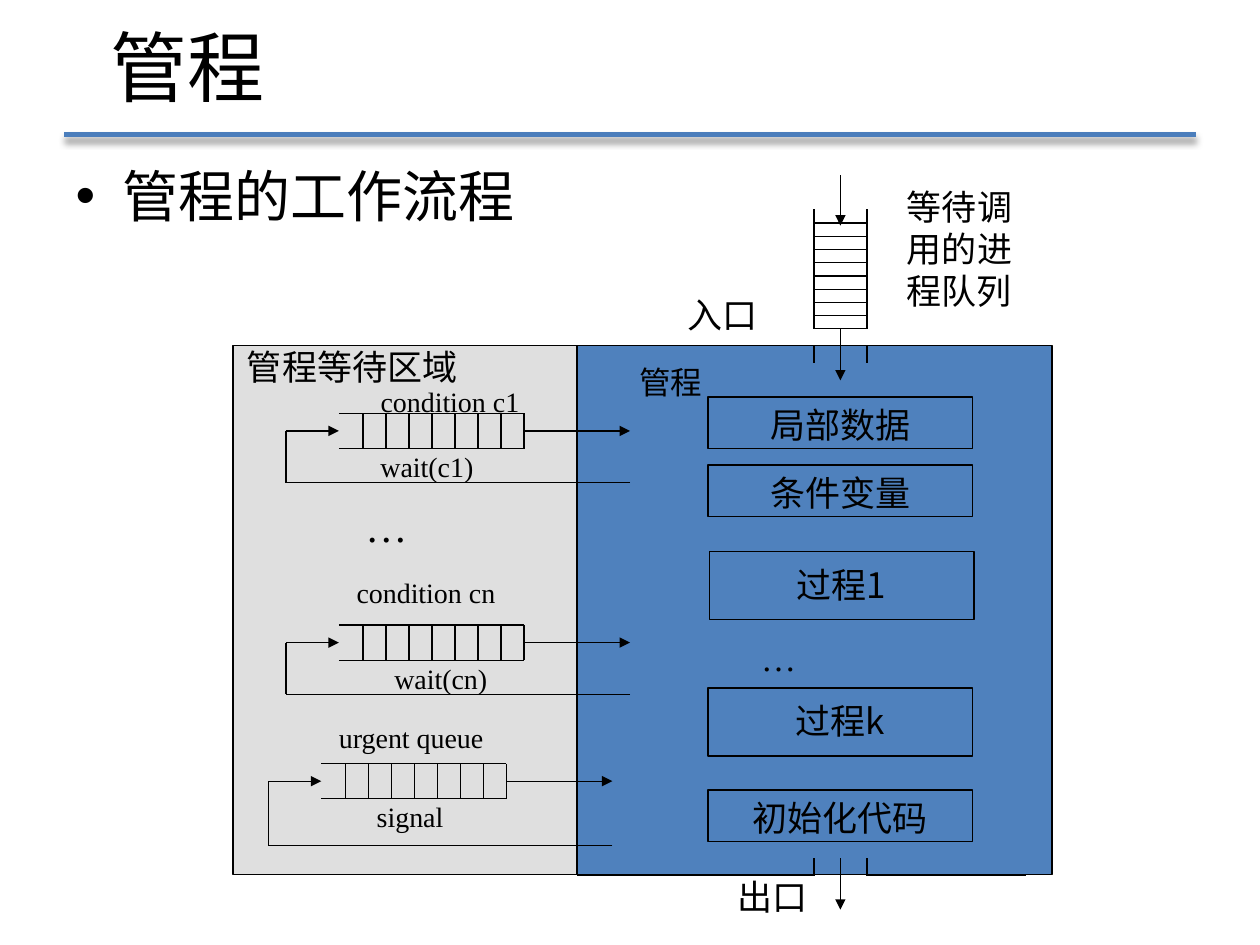
from lxml import etree
from pptx import Presentation
from pptx.dml.color import RGBColor
from pptx.enum.shapes import MSO_CONNECTOR as CONN, MSO_SHAPE as SHAPE
from pptx.enum.text import MSO_ANCHOR as ANCHOR, PP_ALIGN as ALIGN
from pptx.oxml.ns import qn
from pptx.util import Inches, Pt

SERIF, SANS, HEAD = "Times New Roman", "Noto Sans CJK SC", "Noto Sans CJK JP"
BLUE, BLACK = "4F81BD", "000000"
rgb = RGBColor.from_string


def write(tf, text, size=20, font=SANS, align=ALIGN.LEFT, spacing=None,
          margins=(0, 0), anchor=ANCHOR.TOP):
    tf.word_wrap = True
    tf.vertical_anchor = anchor
    tf.margin_left = tf.margin_right = Inches(margins[0])
    tf.margin_top = tf.margin_bottom = Inches(margins[1])
    p = tf.paragraphs[0]
    p.alignment = align
    if spacing:
        p.line_spacing = spacing
    r = p.add_run()
    r.text = text
    r.font.size = Pt(size)
    r.font.name = font
    r.font.color.rgb = rgb(BLACK)
    etree.SubElement(r.font._element, qn("a:ea"), typeface=font)


def line(x1, y1, x2, y2, arrow=False, color=BLACK, width=0.75):
    c = s.shapes.add_connector(CONN.STRAIGHT, Inches(x1), Inches(y1), Inches(x2), Inches(y2))
    c.line.color.rgb = rgb(color)
    c.line.width = Pt(width)
    if arrow:
        etree.SubElement(c.line._get_or_add_ln(), qn("a:tailEnd"), type="triangle")
    return etree.SubElement(c._element.spPr, qn("a:effectLst"))


prs = Presentation()
prs.slide_width, prs.slide_height = Inches(10), Inches(7.5)
s = prs.slides.add_slide(prs.slide_layouts[1])

effects = line(0.51, 1.07, 9.49, 1.07, color="4B7EBC", width=3)
shadow = etree.SubElement(effects, qn("a:outerShdw"), blurRad=str(Pt(4)), dist=str(Pt(3)),
                          dir="5400000", rotWithShape="0")
shade = etree.SubElement(shadow, qn("a:srgbClr"), val=BLACK)
etree.SubElement(shade, qn("a:alpha"), val="40000")

title, body = s.placeholders
for sp, top, height in [(title, -0.03, 1.1), (body, 1.23, 5.47)]:
    sp.left, sp.top = Inches(0.5), Inches(top)
    sp.width, sp.height = Inches(9), Inches(height)
write(title.text_frame, "管程", size=44, font=HEAD, margins=(0.38, 0.05), anchor=ANCHOR.MIDDLE)
write(body.text_frame, "管程的工作流程", size=32, font=HEAD, margins=(0.1, 0.05))

boxes = [
    (4.58, 2.74, 3.77, 4.2, BLUE, "", 0),
    (1.85, 2.74, 2.73, 4.2, "C0C0C0", "", 0),
    (5.62, 3.15, 2.1, 0.41, BLUE, "局部数据", 0.05),
    (5.62, 3.69, 2.1, 0.41, BLUE, "条件变量", 0.05),
    (5.63, 4.38, 2.1, 0.54, BLUE, "过程1", 0.09),
    (5.62, 5.46, 2.1, 0.54, BLUE, "过程k", 0.09),
    (5.62, 6.27, 2.1, 0.41, BLUE, "初始化代码", 0.05),
]
for x, y, w, h, fill, text, inset in boxes:
    sp = s.shapes.add_shape(SHAPE.RECTANGLE, Inches(x), Inches(y), Inches(w), Inches(h))
    sp.shadow.inherit = False
    sp.fill.solid()
    sp.fill.fore_color.rgb = rgb(fill)
    sp.line.color.rgb = rgb(BLACK)
    sp.line.width = Pt(0.75)
    if text:
        write(sp.text_frame, text, align=ALIGN.CENTER, margins=(0.1, inset))
    if fill != BLUE:
        clr = sp._element.spPr.find(qn("a:solidFill"))[0]
        etree.SubElement(clr, qn("a:alpha"), val="50000")

for x, y, drop in [(2.69, 3.28, 0.55), (2.69, 4.96, 0.55), (2.55, 6.06, 0.65)]:
    end, mid, bottom = x + 1.47, y + 0.14, y + 0.28
    line(x, y, end, y)
    line(x, bottom, end, bottom)
    for i in range(8):
        cell = end - i * 1.28 / 7
        line(cell, y, cell, bottom)
    line(x + 2.31, y + drop, x - 0.42, y + drop)
    line(x - 0.42, y + drop, x - 0.42, mid)
    line(x - 0.42, mid, x, mid, arrow=True)
    line(end, mid, x + 2.31, mid, arrow=True)

left, center, right = 6.46, 6.67, 6.88
for x in (left, right):
    line(x, 1.66, x, 2.61)
    line(x, 2.74, x, 2.88)
    line(x, 6.81, x, 6.95)
for i in range(9):
    y = 2.61 - i * 0.105
    line(left, y, right, y)
for y1, y2 in [(1.39, 1.79), (2.61, 3.02), (6.81, 7.22)]:
    line(center, y1, center, y2, arrow=True)
for y in (2.74, 6.95):
    line(4.58, y, left, y)
    line(right, y, 8.14, y)

serif = dict(size=16, font=SERIF, spacing=0.8)
middle = dict(align=ALIGN.CENTER)
labels = [
    (3.02, 3.1, 1.35, 0.16, "condition c1", serif),
    (3.02, 3.62, 1.07, 0.17, "wait(c1)", serif),
    (2.9, 3.97, 1.07, 0.68, "…", dict(size=24, font=SERIF)),
    (2.83, 4.62, 1.4, 0.21, "condition cn", serif),
    (3.13, 5.3, 0.96, 0.17, "wait(cn)", serif),
    (2.69, 5.77, 1.68, 0.21, "urgent queue", serif),
    (2.99, 6.4, 0.96, 0.17, "signal", serif),
    (5.6, 6.95, 1.07, 0.27, "出口", middle),
    (5.2, 2.33, 1.07, 0.27, "入口", middle),
    (4.79, 2.88, 1.07, 0.27, "管程", dict(size=18, align=ALIGN.CENTER)),
    (7.09, 1.47, 1.05, 0.54, "等待调用的进程队列", middle),
    (1.85, 2.74, 1.89, 0.27, "管程等待区域", middle),
    (6.04, 5.05, 1.26, 0.27, "…", dict(font=SERIF)),
]
for x, y, w, h, text, style in labels:
    sp = s.shapes.add_textbox(Inches(x), Inches(y), Inches(w), Inches(h))
    write(sp.text_frame, text, **style)

prs.save("out.pptx")
